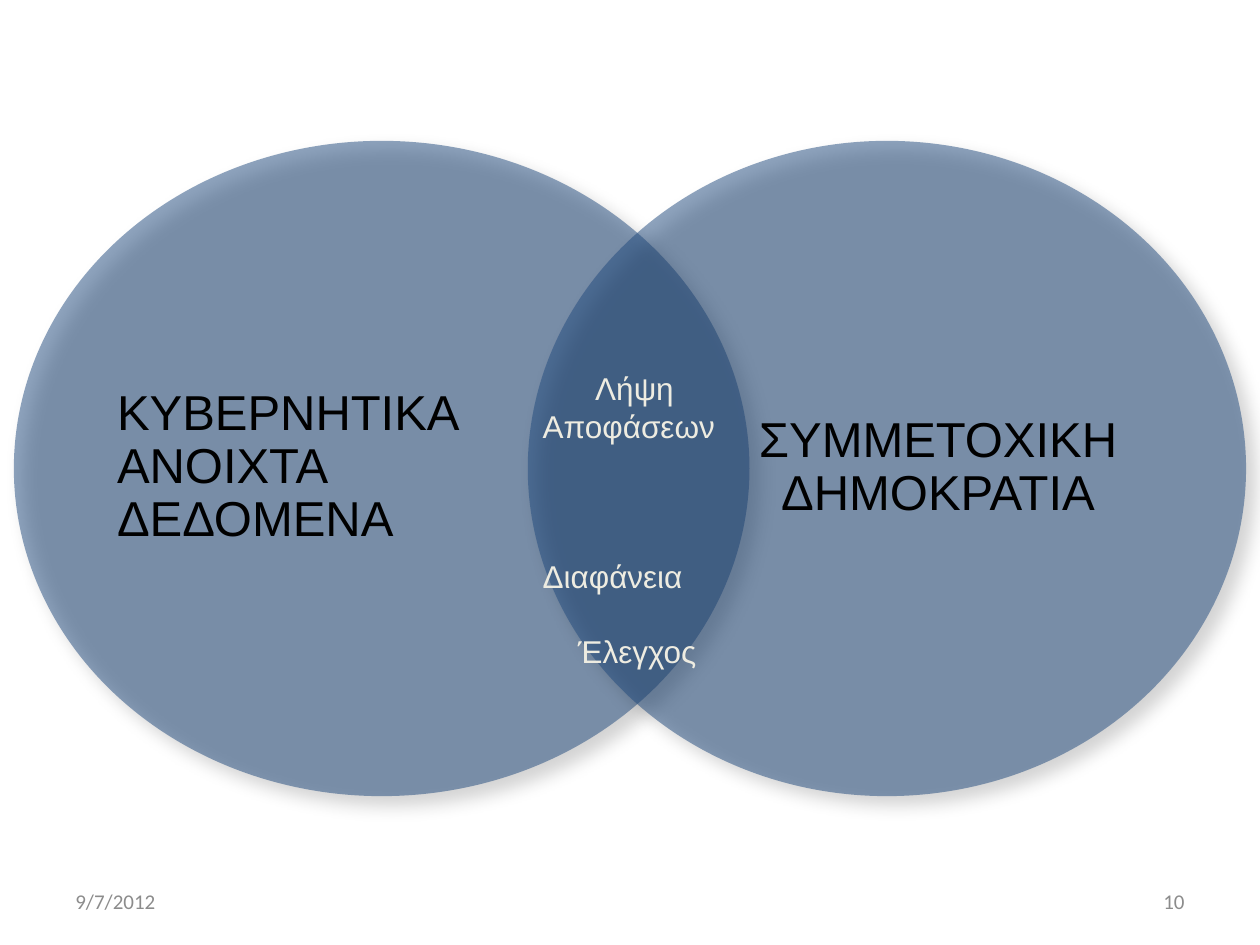
from lxml import etree
from pptx import Presentation
from pptx import util as u
from pptx.dml.color import RGBColor
from pptx.enum import shapes, text
from pptx.oxml import ns

NAVY = RGBColor(0x1F, 0x49, 0x7D)
BLACK = RGBColor(0, 0, 0)
CREAM = RGBColor(0xEE, 0xEC, 0xE1)
GREY = RGBColor(0x8C, 0x8C, 0x8C)
LEFT, CENTER, RIGHT = text.PP_ALIGN.LEFT, text.PP_ALIGN.CENTER, text.PP_ALIGN.RIGHT
TOP, MIDDLE = text.MSO_ANCHOR.TOP, text.MSO_ANCHOR.MIDDLE


def child(parent, tag, **attributes):
    return etree.SubElement(parent, ns.qn(tag), attributes)


class VennSlide:
    FOOTER = {"name": "Calibri", "size": u.Pt(12)}
    HEADING = {"name": "Arial", "size": u.Pt(28)}
    SHARED = {"name": "Arial", "size": u.Pt(18)}

    def __init__(self, slide):
        self.slide = slide

    def circle(self, left, width):
        """Half-transparent ellipse with a soft shadow."""
        circle = self.slide.shapes.add_shape(
            shapes.MSO_SHAPE.OVAL, u.Cm(left), u.Cm(2.84), u.Cm(width), u.Cm(13.21))
        circle.fill.solid()
        circle.fill.fore_color.rgb = NAVY
        circle.line.fill.background()
        fill_color = circle.fill._xPr.find(".//" + ns.qn("a:srgbClr"))
        child(fill_color, "a:alpha", val="50000")

        circle.shadow.inherit = False
        effects = circle._element.spPr.find(ns.qn("a:effectLst"))
        shadow = child(effects, "a:outerShdw", blurRad=str(u.Pt(10.2)), dist=str(u.Pt(8)),
                       dir="2700000", algn="tl", rotWithShape="0")
        shadow_color = child(shadow, "a:srgbClr", val=str(BLACK))
        child(shadow_color, "a:alpha", val="35000")

    def words(self, box, paragraphs, font, color, align=LEFT, anchor=MIDDLE, inset=None):
        """Text box; each paragraph is (wording, format values, first-line indent)."""
        frame = self.slide.shapes.add_textbox(*map(u.Cm, box)).text_frame
        frame.word_wrap = True
        frame.vertical_anchor = anchor
        if inset is not None:
            for side in ("left", "top", "right", "bottom"):
                setattr(frame, f"margin_{side}", inset)
        for number, (wording, layout, indent) in enumerate(paragraphs):
            paragraph = frame.add_paragraph() if number else frame.paragraphs[0]
            paragraph.alignment = align
            for key, value in layout.items():
                setattr(paragraph, key, value)
            if indent:
                paragraph._p.get_or_add_pPr().set("indent", str(u.Cm(indent)))
            run = paragraph.add_run()
            run.text = wording
            for key, value in font.items():
                setattr(run.font, key, value)
            run.font.color.rgb = color
        return frame


def main():
    deck = Presentation()
    deck.slide_width, deck.slide_height = u.Cm(25.4), u.Cm(19.05)
    venn = VennSlide(deck.slides.add_slide(deck.slide_layouts[6]))

    # Date and slide number
    for left, wording, align in ((1.27, "9/7/2012", LEFT), (18.21, "10", RIGHT)):
        venn.words((left, 17.65, 5.92, 1.02), [(wording, {}, 0)], venn.FOOTER, GREY, align)

    # The two overlapping circles and their headings
    circles = (
        (0.28, 14.83, 2.36, 8.56, "ΚΥΒΕΡΝΗΤΙΚΑ ΑΝΟΙΧΤΑ ΔΕΔΟΜΕΝΑ", LEFT),
        (10.64, 14.48, 14.73, 8.36, "ΣΥΜΜΕΤΟΧΙΚΗ ΔΗΜΟΚΡΑΤΙΑ", CENTER),
    )
    for left, width, heading_left, heading_width, heading, align in circles:
        venn.circle(left, width)
        venn.words((heading_left, 4.39, heading_width, 10.08),
                   [(heading, {"line_spacing": 0.9}, 0)],
                   venn.HEADING, BLACK, align, inset=0)

    # What both circles share
    pitch = u.Pt(21.5)
    shared = [
        (wording, {"line_spacing": pitch, "space_before": gap_lines * pitch}, indent)
        for wording, gap_lines, indent in (
            ("Λήψη Αποφάσεων", 0, 1.06), ("Διαφάνεια", 3, 0), ("Έλεγχος", 1, 0.71))
    ]
    frame = venn.words((10.69, 7.32, 3.99, 4.88), shared, venn.SHARED, CREAM, anchor=TOP)
    frame.margin_right = 0

    deck.save("out.pptx")


if __name__ == "__main__":
    main()
